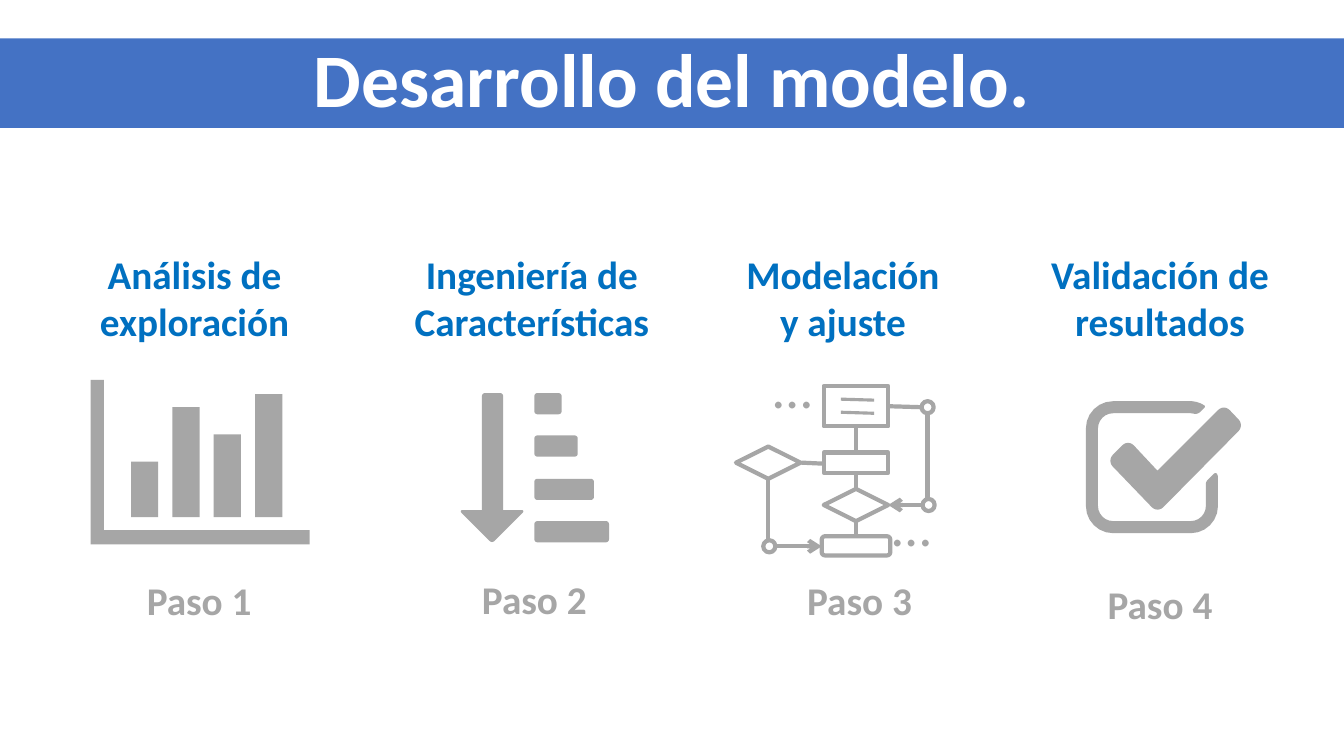
from dataclasses import dataclass

from lxml.etree import SubElement
from pptx import Presentation
from pptx.dml.color import RGBColor
from pptx.enum.shapes import MSO_CONNECTOR, MSO_SHAPE
from pptx.enum.text import MSO_ANCHOR, MSO_AUTO_SIZE, PP_ALIGN
from pptx.oxml.ns import qn
from pptx.util import Emu, Pt

PX = 9144  # 100 px to the inch
WHITE = RGBColor(0xFF, 0xFF, 0xFF)
BANNER_BLUE = RGBColor(0x44, 0x72, 0xC4)
HEADING_BLUE = RGBColor(0x00, 0x70, 0xC0)
GRAY = RGBColor(0xA6, 0xA6, 0xA6)
FONT = "Calibri"
BANNER = (0, 38, 1333, 89)

Point = tuple[float, float]
Corner = tuple[int, int, int]  # x, y, rounding radius


@dataclass(frozen=True)
class Label:
    text: str
    left: int
    top: int
    width: int
    height: int
    color: RGBColor = GRAY
    size: int = 28
    bold: bool = True
    align: PP_ALIGN = PP_ALIGN.CENTER
    anchor: MSO_ANCHOR = MSO_ANCHOR.TOP


@dataclass(frozen=True)
class Node:
    kind: MSO_SHAPE
    left: int
    top: int
    width: int
    height: int


@dataclass(frozen=True)
class Wire:
    start: tuple[int, int]
    end: tuple[int, int]
    arrow: bool = False
    weight: float = 3


def heading(text: str, left: int, width: int) -> Label:
    return Label(text, left, 259, width, 72, HEADING_BLUE, anchor=MSO_ANCHOR.MIDDLE)


def dots(left: int, top: int) -> Label:
    return Label("…", left, top, 34, 89, size=40, bold=False, align=PP_ALIGN.LEFT)


def box(left: int, top: int, width: int, height: int, radius: int = 0) -> list[Corner]:
    right, bottom = left + width, top + height
    return [(left, top, radius), (right, top, radius),
            (right, bottom, radius), (left, bottom, radius)]


STEP_LABELS = [
    heading("Análisis de exploración", 80, 226),
    heading("Ingeniería de Características", 388, 279),
    heading("Modelación y ajuste", 727, 218),
    heading("Validación de resultados", 1028, 245),
    Label("Paso 1", 119, 567, 157, 57),
    Label("Paso 2", 452, 566, 156, 57),
    Label("Paso 3", 779, 567, 147, 57),
    Label("Paso 4", 1077, 571, 147, 57),
]

CHART_BASE = 513
CHART_ICON = [
    [(90, 377, 0), (103, 377, 0), (103, 526, 0), (307, 526, 0), (307, 540, 0), (90, 540, 0)],
    *(box(130 + 41 * index, CHART_BASE - height, 27, height)
      for index, height in enumerate((55, 109, 82, 122))),
]
SORT_ICON = [
    [(478, 390, 3), (499, 390, 3), (499, 506, 0), (521, 506, 4),
     (488, 539, 3), (455, 506, 4), (478, 506, 0)],
    *(box(530, round(390 + 42.4 * index), width, 21, 3)
      for index, width in enumerate((27, 43, 59, 74))),
]
CHECK_ICON = [
    [(1214, 401, 8), (1234, 422, 8), (1148, 509, 8), (1098, 457, 8),
     (1119, 436, 8), (1148, 467, 0)],
    [(1077, 398, 27), (1187, 398, 6), (1196, 403, 2), (1188, 411, 3), (1181, 410, 0),
     (1089, 410, 15), (1089, 517, 15), (1196, 517, 15), (1196, 478, 2),
     (1206, 468, 3), (1208, 472, 2), (1208, 529, 27), (1077, 529, 27)],
]

FLOW_NODES = [
    Node(MSO_SHAPE.RECTANGLE, 817, 383, 64, 40),
    Node(MSO_SHAPE.RECTANGLE, 817, 449, 64, 20),
    Node(MSO_SHAPE.DIAMOND, 730, 443, 64, 32),
    Node(MSO_SHAPE.DIAMOND, 817, 485, 64, 32),
    Node(MSO_SHAPE.ROUNDED_RECTANGLE, 815, 532, 68, 19),
    Node(MSO_SHAPE.OVAL, 757, 536, 12, 12),
    Node(MSO_SHAPE.OVAL, 914, 398, 12, 12),
    Node(MSO_SHAPE.OVAL, 915, 495, 12, 12),
]
FLOW_WIRES = [
    Wire((849, 423), (849, 449)),
    Wire((849, 470), (849, 485)),
    Wire((849, 517), (849, 532)),
    Wire((795, 459), (817, 460)),
    Wire((762, 536), (762, 475)),
    Wire((768, 542), (815, 542), arrow=True),
    Wire((914, 404), (881, 403)),
    Wire((920, 410), (920, 495)),
    Wire((915, 501), (881, 501), arrow=True),
    Wire((867, 397), (834, 396), weight=2.25),
    Wire((867, 410), (834, 409), weight=2.25),
]
FLOW_DOTS = [dots(757, 345), dots(875, 482)]


def emu(*lengths: float) -> list[Emu]:
    return [Emu(round(length * PX)) for length in lengths]


def add_label(shapes, label: Label) -> None:
    text_box = shapes.add_textbox(*emu(label.left, label.top, label.width, label.height))
    frame = text_box.text_frame
    frame.word_wrap = True
    frame.vertical_anchor = label.anchor
    write(frame, label.text, label.size, label.color, label.bold, label.align)


def write(frame, text: str, size: int, color: RGBColor, bold: bool, align: PP_ALIGN) -> None:
    frame.text = text
    paragraph = frame.paragraphs[0]
    paragraph.alignment = align
    font = paragraph.font
    font.name, font.size, font.bold = FONT, Pt(size), bold
    font.color.rgb = color


def rounded(corners: list[Corner], steps: int = 6) -> list[Point]:
    """Replace each corner that has a radius by points on a cubic curve."""
    points: list[Point] = []
    for index, (x, y, radius) in enumerate(corners):
        if not radius:
            points.append((x, y))
            continue
        ends = []
        for other_x, other_y, _ in (corners[index - 1], corners[(index + 1) % len(corners)]):
            distance = ((other_x - x) ** 2 + (other_y - y) ** 2) ** 0.5
            ends.append(((other_x - x) * radius / distance, (other_y - y) * radius / distance))
        (in_x, in_y), (out_x, out_y) = ends
        for step in range(steps + 1):
            t = step / steps
            before = (1 - t) ** 3 + 3 * (1 - t) ** 2 * t * 0.45
            after = t ** 3 + 3 * t ** 2 * (1 - t) * 0.45
            points.append((x + before * in_x + after * out_x, y + before * in_y + after * out_y))
    return points


def add_icon(shapes, contours: list[list[Corner]]) -> None:
    outlines = [[emu(*point) for point in rounded(contour)] for contour in contours]
    builder = shapes.build_freeform(*outlines[0][0])
    for index, outline in enumerate(outlines):
        if index:
            builder.move_to(*outline[0])
        builder.add_line_segments(outline[1:], close=True)
    icon = builder.convert_to_shape()
    icon.shadow.inherit = False
    icon.fill.solid()
    icon.fill.fore_color.rgb = GRAY
    icon.line.fill.background()


def add_node(shapes, node: Node) -> None:
    shape = shapes.add_shape(node.kind, *emu(node.left, node.top, node.width, node.height))
    shape.shadow.inherit = False
    shape.fill.background()
    shape.line.color.rgb = GRAY
    shape.line.width = Pt(3)


def add_wire(shapes, wire: Wire) -> None:
    connector = shapes.add_connector(MSO_CONNECTOR.STRAIGHT, *emu(*wire.start, *wire.end))
    connector.line.color.rgb = GRAY
    connector.line.width = Pt(wire.weight)
    properties = connector.element.spPr
    if wire.arrow:
        SubElement(properties.find(qn("a:ln")), qn("a:tailEnd"), type="arrow")
    SubElement(properties, qn("a:effectLst"))


def add_title(slide) -> None:
    banner = slide.shapes.add_shape(MSO_SHAPE.RECTANGLE, *emu(*BANNER))
    banner.shadow.inherit = False
    banner.fill.solid()
    banner.fill.fore_color.rgb = BANNER_BLUE
    banner.line.fill.background()
    title = slide.shapes.title
    title.element.addprevious(banner.element)
    title.left, title.top, title.width, title.height = emu(*BANNER)
    frame = title.text_frame
    frame.auto_size = MSO_AUTO_SIZE.NONE
    frame.vertical_anchor = MSO_ANCHOR.MIDDLE
    write(frame, "Desarrollo del modelo.", 54, WHITE, True, PP_ALIGN.CENTER)
    frame.paragraphs[0].line_spacing = 0.9


def main() -> None:
    presentation = Presentation()
    presentation.slide_width, presentation.slide_height = emu(1333, 750)
    slide = presentation.slides.add_slide(presentation.slide_layouts[5])
    add_title(slide)
    for label in STEP_LABELS:
        add_label(slide.shapes, label)
    for icon in (CHART_ICON, SORT_ICON, CHECK_ICON):
        add_icon(slide.shapes, icon)
    flow = slide.shapes.add_group_shape().shapes
    for add, items in ((add_node, FLOW_NODES), (add_wire, FLOW_WIRES), (add_label, FLOW_DOTS)):
        for item in items:
            add(flow, item)
    presentation.save("out.pptx")


if __name__ == "__main__":
    main()
